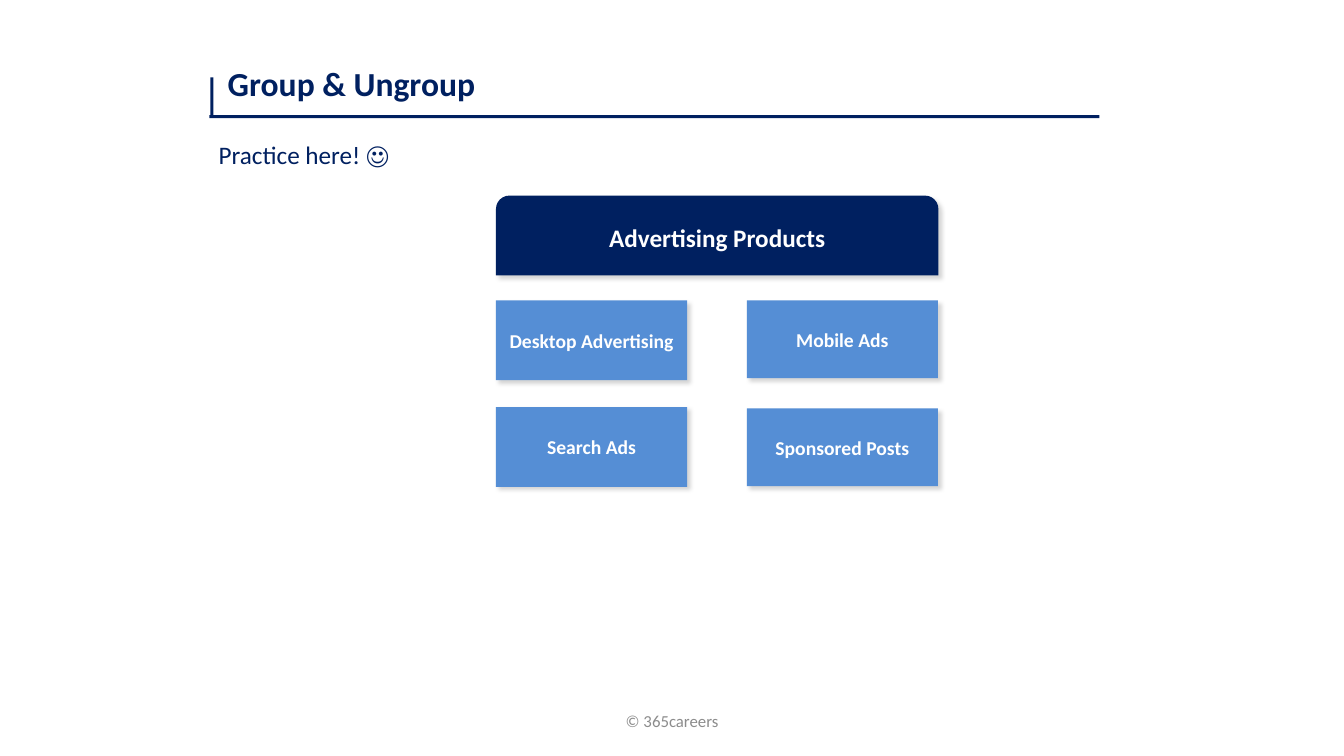
import pptx
import pptx.util
import pptx.dml.color
import pptx.enum.shapes
import pptx.enum.text
import pptx.oxml
import pptx.oxml.ns

Cm = pptx.util.Cm
SHAPES = pptx.enum.shapes.MSO_SHAPE
ALIGN = pptx.enum.text.PP_ALIGN
ANCHOR = pptx.enum.text.MSO_ANCHOR


class Deck:
    font = "Calibri"
    colors = {"navy": "002060", "blue": "558ED5", "white": "FFFFFF", "gray": "8C8C8C"}
    shadow = (
        '<a:outerShdw %s blurRad="38100" dist="38100" dir="2700000" algn="tl" rotWithShape="0">'
        '<a:srgbClr val="000000"><a:alpha val="17000"/></a:srgbClr></a:outerShdw>'
        % pptx.oxml.ns.nsdecls("a")
    )

    def __init__(self, prs):
        self.slide = prs.slides.add_slide(prs.slide_layouts[6])

    def color(self, name):
        return pptx.dml.color.RGBColor.from_string(self.colors[name])

    def fill_text(self, sp, text, size, color, bold, align, anchor):
        tf = sp.text_frame
        tf.word_wrap = True
        tf.vertical_anchor = anchor
        p = tf.paragraphs[0]
        p.text = text
        p.alignment = align
        for r in p.runs:
            r.font.name = self.font
            r.font.size = pptx.util.Pt(size)
            r.font.bold = bold
            r.font.color.rgb = self.color(color)

    def text(self, box, text, size, color, bold=False, align=ALIGN.LEFT, anchor=ANCHOR.TOP):
        sp = self.slide.shapes.add_textbox(*map(Cm, box))
        self.fill_text(sp, text, size, color, bold, align, anchor)

    def block(self, box, color, shape=SHAPES.RECTANGLE):
        sp = self.slide.shapes.add_shape(shape, *map(Cm, box))
        sp.shadow.inherit = False
        sp.fill.solid()
        sp.fill.fore_color.rgb = self.color(color)
        sp.line.fill.background()
        return sp

    def card(self, box, text, size, color, shape=SHAPES.RECTANGLE):
        sp = self.block(box, color, shape)
        effects = sp._element.spPr.find(pptx.oxml.ns.qn("a:effectLst"))
        effects.append(pptx.oxml.parse_xml(self.shadow))
        self.fill_text(sp, text, size, "white", True, ALIGN.CENTER, ANCHOR.MIDDLE)


def main():
    prs = pptx.Presentation()
    prs.slide_width = Cm(33.87)
    prs.slide_height = Cm(19.05)
    s = Deck(prs)

    s.text((5.49, 1.47, 18.62, 1.27), "Group & Ungroup", 24, "navy", bold=True)
    s.block((5.28, 2.9, 22.43, 0.08), "navy")
    s.block((5.3, 1.95, 0.08, 1.02), "navy")

    s.card((12.5, 4.93, 11.15, 2.01), "Advertising Products", 18, "navy",
           SHAPES.ROUND_2_SAME_RECTANGLE)
    columns = [
        (12.5, 2.01, 2.69, ["Desktop Advertising", "Search Ads"]),
        (18.82, 1.96, 2.72, ["Mobile Ads", "Sponsored Posts"]),
    ]
    for left, height, pitch, products in columns:
        for row, product in enumerate(products):
            s.card((left, 7.57 + row * pitch, 4.82, height), product, 14, "blue")

    s.text((11.58, 17.65, 10.72, 1.02), "© 365careers", 12, "gray",
           align=ALIGN.CENTER, anchor=ANCHOR.MIDDLE)
    s.text((5.26, 3.38, 9.55, 1.02), "Practice here! ☺", 18, "navy")
    prs.save("out.pptx")


if __name__ == "__main__":
    main()
